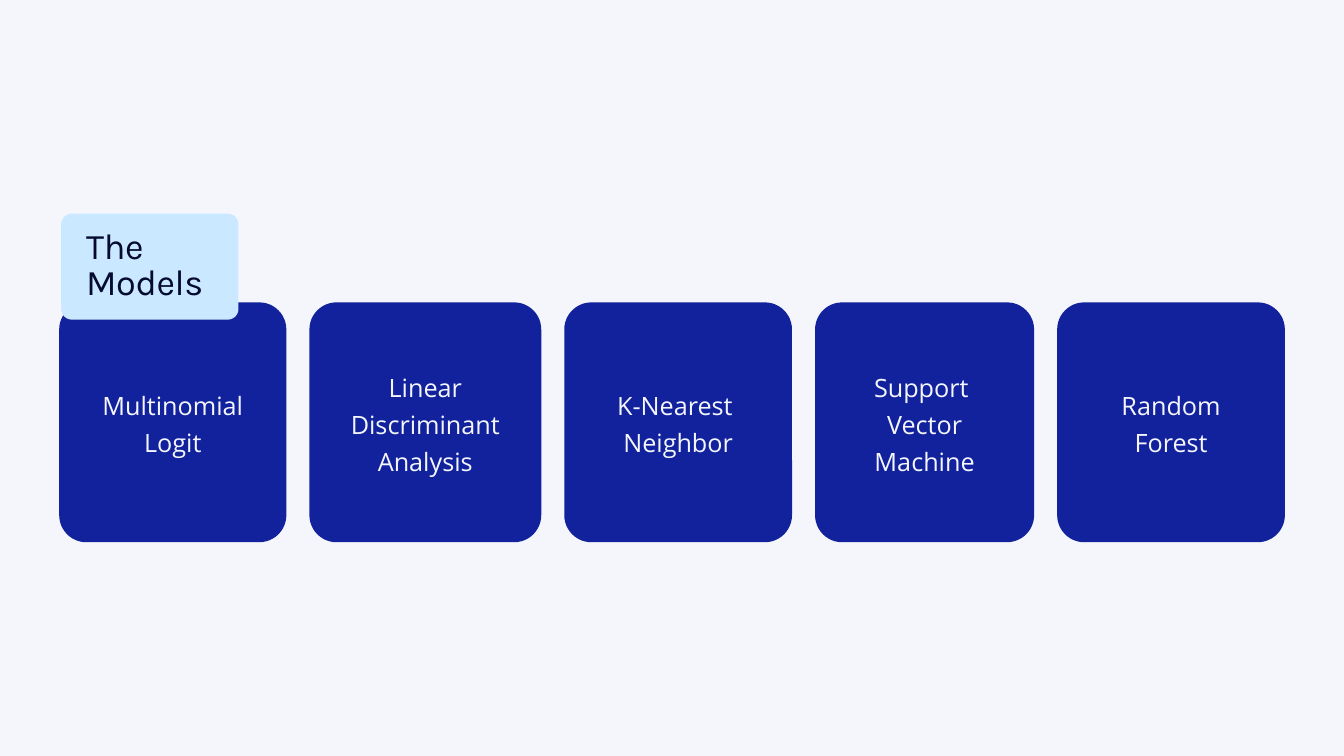
import pptx
import pptx.dml.color
import pptx.enum.shapes
import pptx.enum.text
import pptx.util

Pt = pptx.util.Pt
ALIGN = pptx.enum.text.PP_ALIGN

PAPER, NAVY, SKY, INK = "F4F6FC", "12229D", "CAE8FF", "050A30"
TITLE_FONT = {"name": "Karla", "size": Pt(38.6), "bold": False}
LABEL_FONT = {"name": "Open Sans", "size": Pt(27), "bold": False}

CARD_LEFT, CARD_TOP, CARD_HEIGHT, CARD_GAP = 63.4, 324, 257, 24.7
LABEL_MIDDLE, LABEL_LINE = 450.4, 38.6

# Card width, label width, label lines
MODELS = [
    (243.4, 177, ["Multinomial", "Logit"]),
    (248.4, 187.2, ["Linear", "Discriminant", "Analysis"]),
    (244, 152, ["K-Nearest ", "Neighbor"]),
    (234.7, 123.8, ["Support ", "Vector", "Machine"]),
    (244, 118.8, ["Random", "Forest"]),
]


def colour(value):
    return pptx.dml.color.RGBColor.from_string(value)


class SlideBuilder:
    def __init__(self, deck):
        self.page = deck.slides.add_slide(deck.slide_layouts[5])
        fill = self.page.background.fill
        fill.solid()
        fill.fore_color.rgb = colour(PAPER)

    def panel(self, left, top, width, height, radius, fill):
        kind = pptx.enum.shapes.MSO_SHAPE.ROUNDED_RECTANGLE
        box = self.page.shapes.add_shape(kind, Pt(left), Pt(top), Pt(width), Pt(height))
        box.adjustments[0] = radius / min(width, height)
        box.fill.solid()
        box.fill.fore_color.rgb = colour(fill)
        box.line.fill.background()
        box.shadow.inherit = False
        return box

    def set_text(self, box, lines, font, ink, align, spacing):
        frame = box.text_frame
        settings = {
            "margin_left": 0, "margin_top": 0, "margin_right": 0, "margin_bottom": 0,
            "word_wrap": True,
            "auto_size": pptx.enum.text.MSO_AUTO_SIZE.NONE,
            "vertical_anchor": pptx.enum.text.MSO_ANCHOR.TOP,
        }
        for name, value in settings.items():
            setattr(frame, name, value)
        for index, line in enumerate(lines):
            para = frame.add_paragraph() if index else frame.paragraphs[0]
            para.alignment = align
            para.line_spacing = Pt(spacing)
            span = para.add_run()
            span.text = line
            for name, value in font.items():
                setattr(span.font, name, value)
            span.font.color.rgb = colour(ink)

    def label(self, centre, middle, width, lines):
        height = len(lines) * LABEL_LINE
        box = self.page.shapes.add_textbox(
            Pt(centre - width / 2), Pt(middle - height / 2), Pt(width), Pt(height))
        self.set_text(box, lines, LABEL_FONT, PAPER, ALIGN.CENTER, 39.2)

    def title(self, text, left, top, width, height, behind):
        box = self.page.shapes.title
        place = {"left": left, "top": top, "width": width, "height": height}
        for name, value in place.items():
            setattr(box, name, Pt(value))
        self.set_text(box, [text], TITLE_FONT, INK, ALIGN.LEFT, 38.6)
        # Slightly tightened letters, in hundredths of a point
        span = box.text_frame.paragraphs[0].runs[0]
        span._r.get_or_add_rPr().set("spc", "-40")
        # Bring the title in front of its tag
        behind._element.addnext(box._element)


def main():
    deck = pptx.Presentation()
    deck.slide_width, deck.slide_height = Pt(1440), Pt(810)
    slide = SlideBuilder(deck)

    # Row of model cards
    left = CARD_LEFT
    for width, label_width, lines in MODELS:
        slide.panel(left, CARD_TOP, width, CARD_HEIGHT, 29, NAVY)
        slide.label(left + width / 2, LABEL_MIDDLE, label_width, lines)
        left += width + CARD_GAP

    # Title tag over the first card
    tag = slide.panel(65.5, 229, 190, 113.5, 11.5, SKY)
    slide.title("The Models", 92.2, 247, 142.6, 80, tag)

    deck.save("out.pptx")


if __name__ == "__main__":
    main()
